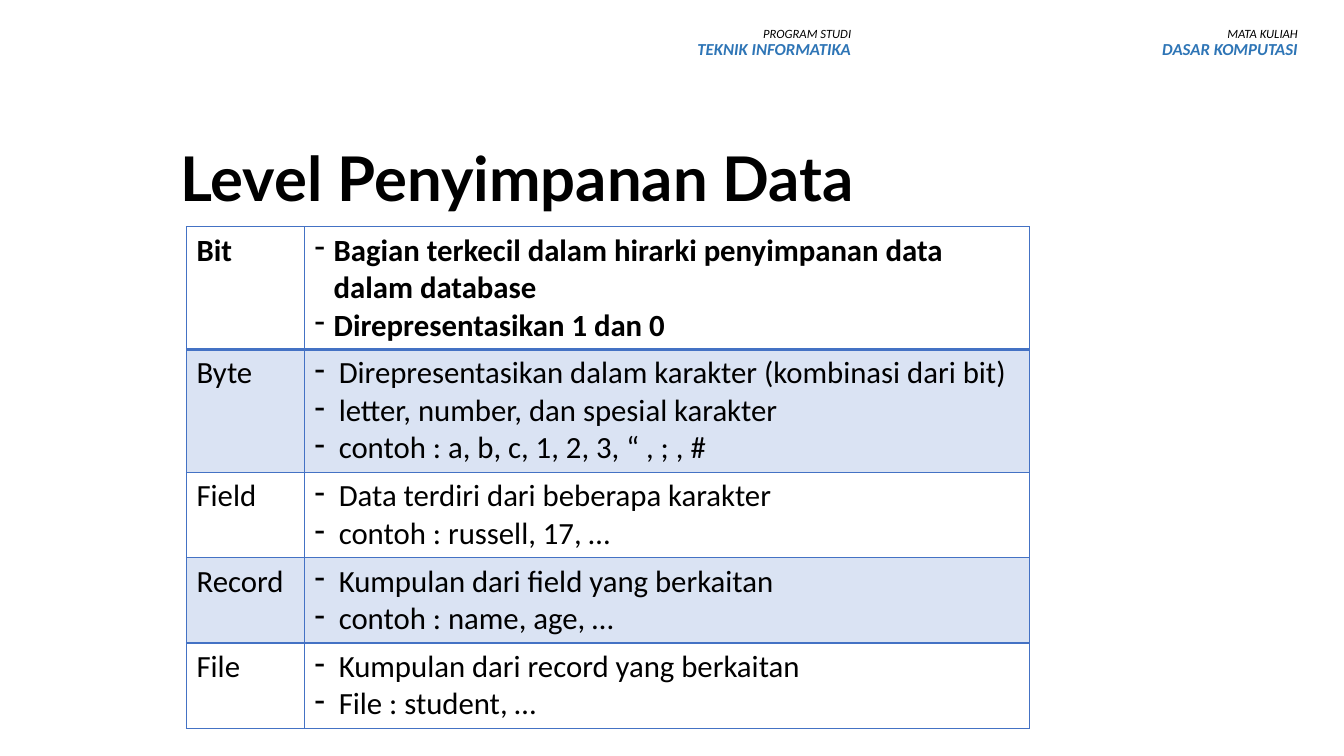
from lxml import etree
from pptx import Presentation
from pptx.dml.color import RGBColor
from pptx.enum.text import MSO_ANCHOR as Anchor, PP_ALIGN as Align
from pptx.oxml.ns import qn
from pptx.util import Inches, Pt

BLACK, BLUE, BORDER, BAND = "000000", "2E75B6", "4472C4", "DAE3F3"
COLUMN_WIDTHS = (1.17, 7.19)
LINE_HEIGHT, ROW_PADDING = 0.373, 0.1
# level, hanging indent, lines drawn, descriptions
LEVELS = [
    ("Bit", 0.19, 3, ["Bagian terkecil dalam hirarki penyimpanan data dalam database",
                      "Direpresentasikan 1 dan 0"]),
    ("Byte", 0.24, 3, ["Direpresentasikan dalam karakter (kombinasi dari bit)",
                       "letter, number, dan spesial karakter",
                       "contoh : a, b, c, 1, 2, 3, “ , ; , #"]),
    ("Field", 0.24, 2, ["Data terdiri dari beberapa karakter", "contoh : russell, 17, …"]),
    ("Record", 0.24, 2, ["Kumpulan dari field yang berkaitan", "contoh : name, age, …"]),
    ("File", 0.24, 2, ["Kumpulan dari record yang berkaitan", "File : student, …"]),
]


def color(value):
    return RGBColor.from_string(value)


def write(paragraph, text, fill=BLACK, **formats):
    run = paragraph.add_run()
    run.text = text
    run.font.color.rgb = color(fill)
    for name, value in formats.items():
        setattr(run.font, name, value)


def add_paragraphs(frame, count):
    """Return count paragraphs, the frame's own first one included."""
    return [frame.paragraphs[0]] + [frame.add_paragraph() for _ in range(count - 1)]


def add_text_frame(slide, box):
    frame = slide.shapes.add_textbox(*map(Inches, box)).text_frame
    frame.word_wrap = True
    return frame


def add_title(slide, box, text):
    frame = add_text_frame(slide, box)
    frame.vertical_anchor = Anchor.MIDDLE
    paragraph = frame.paragraphs[0]
    paragraph.line_spacing = 0.9
    write(paragraph, text, name="Lato", size=Pt(44), bold=True)


def add_course_label(slide, box, caption, name):
    paragraphs = add_paragraphs(add_text_frame(slide, box), 2)
    for paragraph in paragraphs:
        paragraph.alignment = Align.RIGHT
        paragraph.line_spacing = 0.9
    write(paragraphs[0], caption, name="Calibri", size=Pt(9), italic=True)
    write(paragraphs[1], name, BLUE, name="Calibri", size=Pt(12), italic=True, bold=True)


def set_dash(paragraph, indent):
    properties = paragraph._p.get_or_add_pPr()
    properties.set("marL", str(Inches(indent)))
    properties.set("indent", str(-Inches(indent)))
    etree.SubElement(properties, qn("a:buFontTx"))
    etree.SubElement(properties, qn("a:buChar"), char="-")


def set_borders(cell, **widths):
    properties = cell._tc.get_or_add_tcPr()
    for side in "LRTB":
        line = etree.SubElement(properties, qn(f"a:ln{side}"), w=str(Pt(widths.get(side, 1))))
        fill = etree.SubElement(line, qn("a:solidFill"))
        etree.SubElement(fill, qn("a:srgbClr"), val=BORDER)


def fill_cell(cell, row, texts, indent=None):
    set_borders(cell, **{0: {"B": 2}, 1: {"T": 2}}.get(row, {}))
    if row % 2:
        cell.fill.solid()
        cell.fill.fore_color.rgb = color(BAND)
    else:
        cell.fill.background()
    for paragraph, text in zip(add_paragraphs(cell.text_frame, len(texts)), texts):
        if indent:
            set_dash(paragraph, indent)
        write(paragraph, text, name="Calibri", size=Pt(22), bold=row == 0)


def add_level_table(slide, left, top):
    heights = [lines * LINE_HEIGHT + ROW_PADDING for _, _, lines, _ in LEVELS]
    box = (left, top, sum(COLUMN_WIDTHS), sum(heights))
    table = slide.shapes.add_table(len(LEVELS), 2, *map(Inches, box)).table
    table.first_row = table.horz_banding = False
    for column, width in zip(table.columns, COLUMN_WIDTHS):
        column.width = Inches(width)
    for row, (level, indent, _, descriptions) in enumerate(LEVELS):
        table.rows[row].height = Inches(heights[row])
        fill_cell(table.cell(row, 0), row, [level])
        fill_cell(table.cell(row, 1), row, descriptions, indent)


def main():
    presentation = Presentation()
    presentation.slide_width, presentation.slide_height = Inches(13.33), Inches(7.5)
    slide = presentation.slides.add_slide(presentation.slide_layouts[6])
    add_title(slide, (1.69, 1.36, 10.66, 0.89), "Level Penyimpanan Data")
    add_course_label(slide, (10.46, 0.22, 2.51, 0.56), "MATA KULIAH", "DASAR KOMPUTASI")
    add_course_label(slide, (6.03, 0.22, 2.51, 0.56), "PROGRAM STUDI", "TEKNIK INFORMATIKA")
    add_level_table(slide, 1.85, 2.25)
    presentation.save("out.pptx")


if __name__ == "__main__":
    main()
